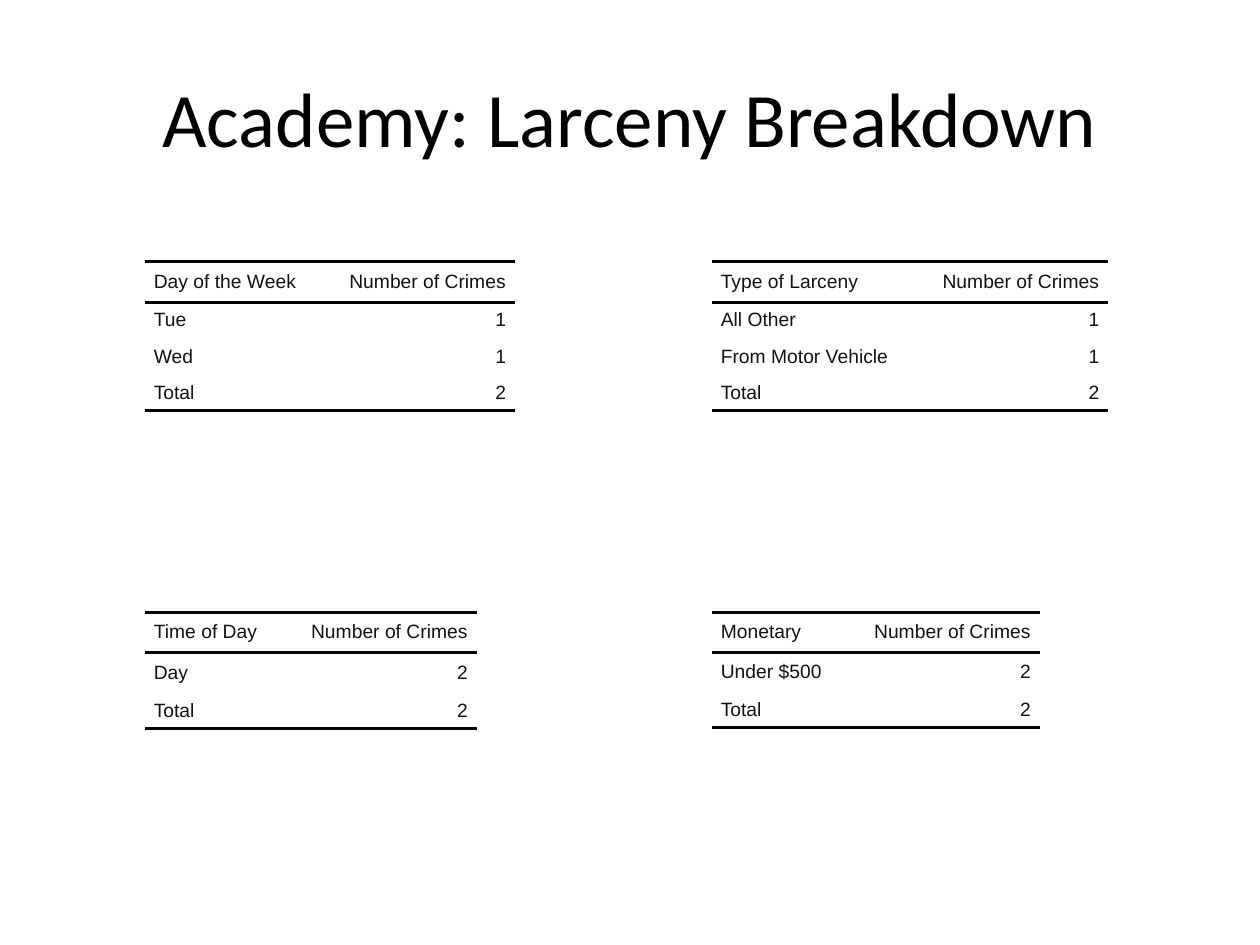
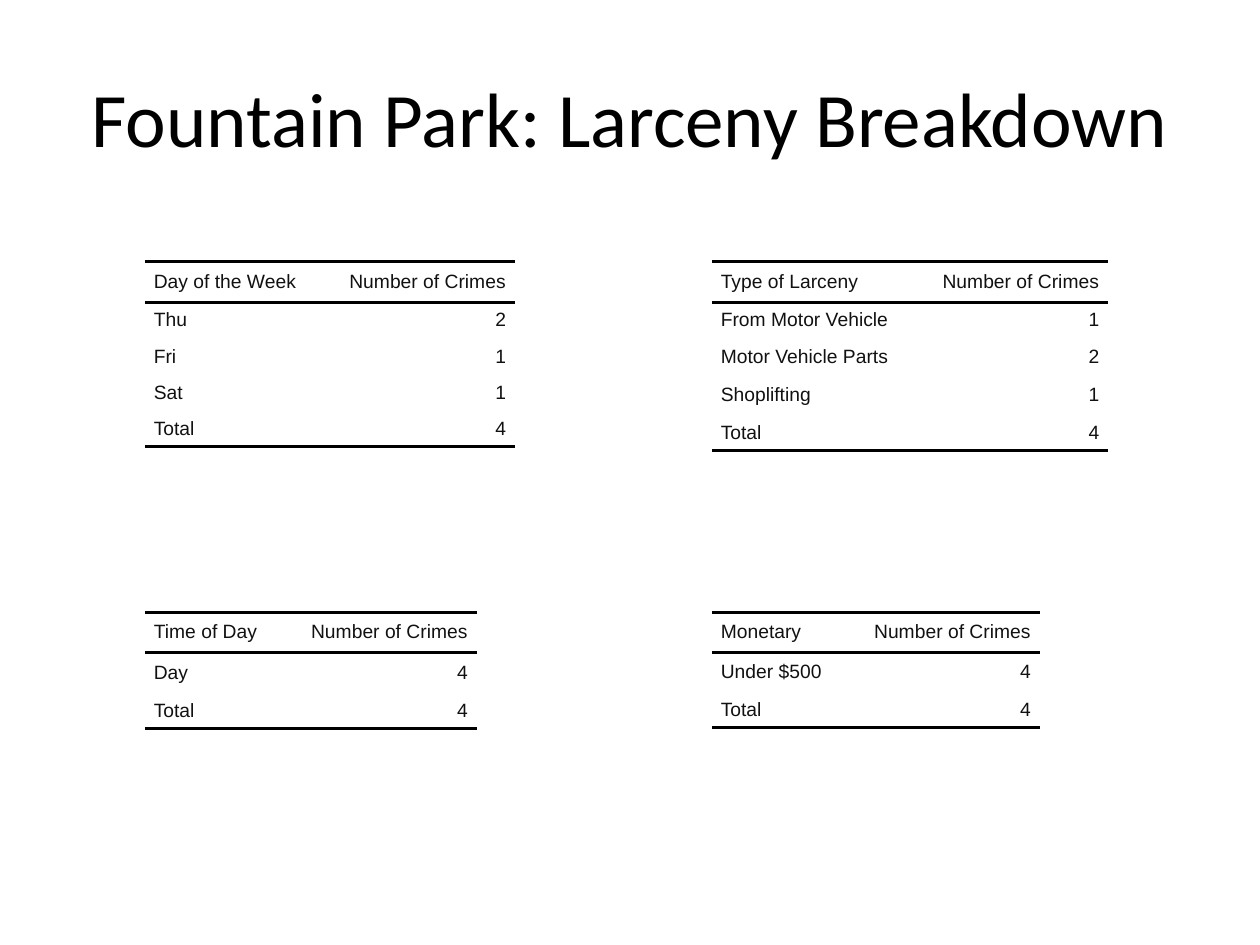
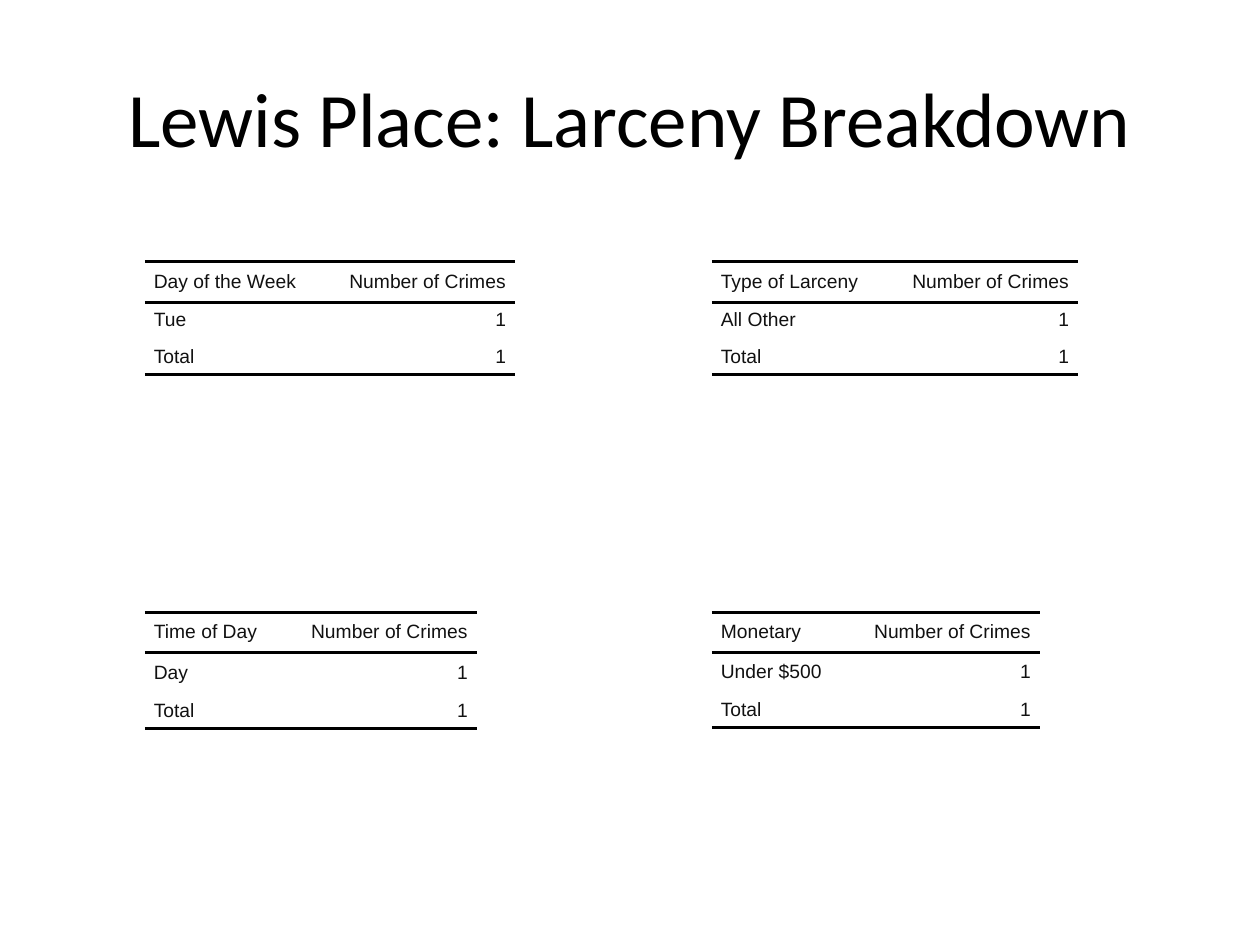
import pptx
import pptx.dml.color
import pptx.enum.text
import pptx.oxml
import pptx.oxml.ns
import pptx.util

Cm = pptx.util.Cm
Pt = pptx.util.Pt
ALIGN = pptx.enum.text.PP_ALIGN
MIDDLE = pptx.enum.text.MSO_ANCHOR.MIDDLE

TITLE_COLOR = "000000"
TEXT_COLOR = "111111"
RULE_COLOR = "000000"
NO_STYLE_NO_GRID = "{2D5ABB26-0587-4C30-8999-92F81FD0307C}"

LEFT, RIGHT = 2.92, 14.35
TOP, BOTTOM = 5.28, 12.34
COUNT_WIDTH = 3.87
HEADER_HEIGHT, ROW_HEIGHT = 0.81, 0.73
TALL_ROWS = {"Day": 0.81, "Under $500": 0.79, "Shoplifting": 0.81}

neighborhoods = [
    (
        "Academy",
        [("Tue", 1), ("Wed", 1)],
        [("All Other", 1), ("From Motor Vehicle", 1)],
        4.12,
    ),
    (
        "Fountain Park",
        [("Thu", 2), ("Fri", 1), ("Sat", 1)],
        [("From Motor Vehicle", 1), ("Motor Vehicle Parts", 2), ("Shoplifting", 1)],
        4.12,
    ),
    (
        "Lewis Place",
        [("Tue", 1)],
        [("All Other", 1)],
        3.51,
    ),
]


def style_text(paragraph, font_name, size, color):
    for run in paragraph.runs:
        run.font.name = font_name
        run.font.size = Pt(size)
        run.font.color.rgb = pptx.dml.color.RGBColor.from_string(color)


def add_rule(cell, side):
    line = pptx.oxml.parse_xml(
        f'<a:{side} {pptx.oxml.ns.nsdecls("a")} w="{Pt(2)}">'
        f'<a:solidFill><a:srgbClr val="{RULE_COLOR}"/></a:solidFill></a:{side}>'
    )
    cell._tc.get_or_add_tcPr().append(line)


presentation = pptx.Presentation()
presentation.slide_width = Cm(25.4)
presentation.slide_height = Cm(19.05)

for name, days, types, type_width in neighborhoods:
    slide = presentation.slides.add_slide(presentation.slide_layouts[5])
    title = slide.shapes.title
    title.left, title.top = Cm(1.27), Cm(0.76)
    title.width, title.height = Cm(22.86), Cm(3.18)
    title.text_frame.text = f"{name}: Larceny Breakdown"
    title.text_frame.vertical_anchor = MIDDLE
    title_paragraph = title.text_frame.paragraphs[0]
    title_paragraph.alignment = ALIGN.CENTER
    style_text(title_paragraph, "Calibri", 44, TITLE_COLOR)

    total = sum(count for label, count in days)
    breakdowns = [
        ("Day of the Week", days, LEFT, TOP, 3.59),
        ("Time of Day", [("Day", total)], LEFT, BOTTOM, 2.82),
        ("Type of Larceny", types, RIGHT, TOP, type_width),
        ("Monetary", [("Under $500", total)], RIGHT, BOTTOM, 2.74),
    ]
    for heading, counts, left, top, label_width in breakdowns:
        rows = [(heading, "Number of Crimes"), *counts, ("Total", total)]
        heights = [HEADER_HEIGHT]
        heights += [TALL_ROWS.get(label, ROW_HEIGHT) for label, count in rows[1:]]
        table = slide.shapes.add_table(
            len(rows), 2, Cm(left), Cm(top),
            Cm(label_width + COUNT_WIDTH), Cm(sum(heights)),
        ).table
        table.first_row = False
        table.horz_banding = False
        table._tbl.tblPr[0].text = NO_STYLE_NO_GRID
        table.columns[0].width = Cm(label_width)
        table.columns[1].width = Cm(COUNT_WIDTH)

        for row_index, values in enumerate(rows):
            table.rows[row_index].height = Cm(heights[row_index])
            for column_index, value in enumerate(values):
                cell = table.cell(row_index, column_index)
                cell.margin_left = cell.margin_right = 0
                cell.margin_top = cell.margin_bottom = 0
                cell.vertical_anchor = MIDDLE
                if row_index == 0:
                    add_rule(cell, "lnT")
                if row_index in (0, len(rows) - 1):
                    add_rule(cell, "lnB")
                cell.fill.background()

                cell.text_frame.text = str(value)
                paragraph = cell.text_frame.paragraphs[0]
                paragraph.alignment = (ALIGN.LEFT, ALIGN.RIGHT)[column_index]
                paragraph.space_before = paragraph.space_after = Pt(2)
                properties = paragraph._p.get_or_add_pPr()
                properties.set("marL", str(Cm(0.18)))
                properties.set("marR", str(Cm(0.18)))
                properties.set("indent", "0")
                style_text(paragraph, "Arial", 11, TEXT_COLOR)

presentation.save("out.pptx")
